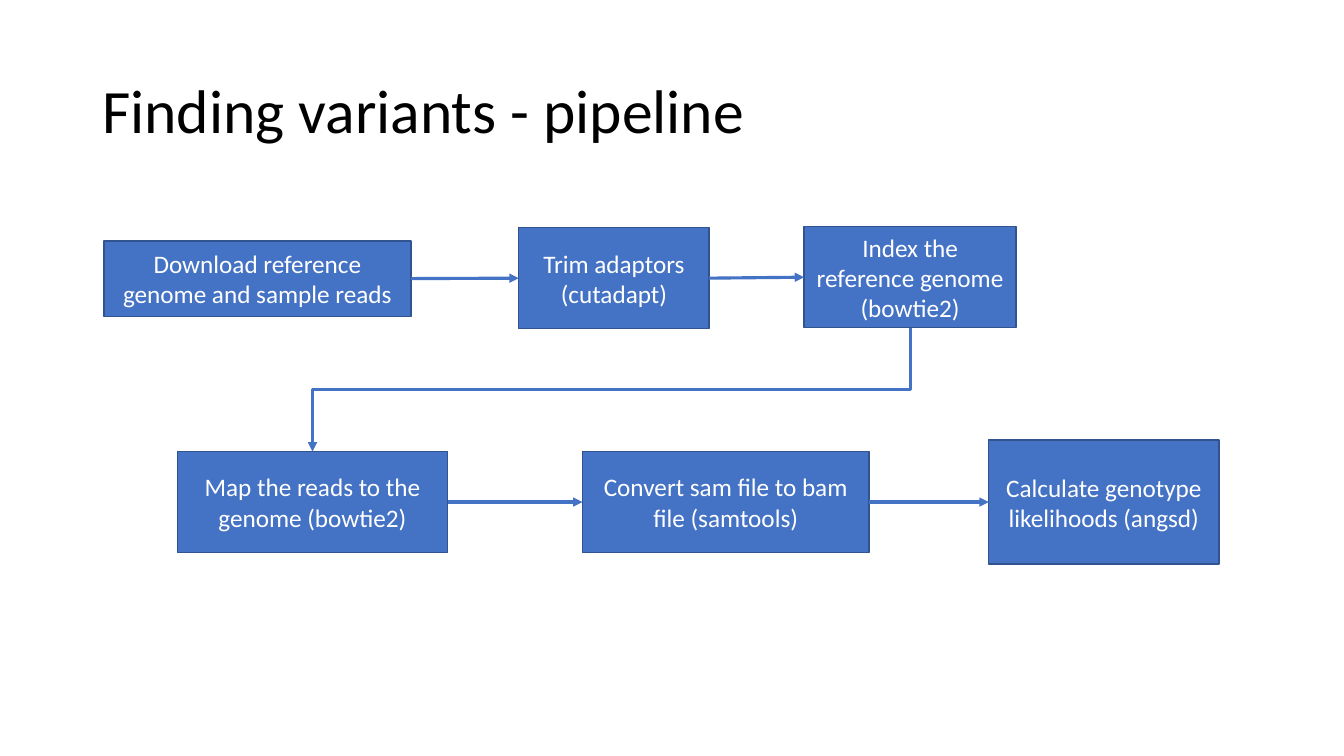
from dataclasses import dataclass
from itertools import pairwise
from lxml.etree import SubElement
from pptx import Presentation
from pptx.dml.color import RGBColor
from pptx.enum.shapes import MSO_CONNECTOR, MSO_SHAPE
from pptx.enum.text import MSO_ANCHOR, PP_ALIGN
from pptx.oxml.ns import qn
from pptx.util import Pt


@dataclass(frozen=True)
class Theme:
    font: str = "Calibri"
    title_size: float = 44
    step_size: float = 18
    title: RGBColor = RGBColor(0, 0, 0)
    step_text: RGBColor = RGBColor(0xFF, 0xFF, 0xFF)
    fill: RGBColor = RGBColor(0x44, 0x72, 0xC4)
    border: RGBColor = RGBColor(0x31, 0x53, 0x8F)
    border_width: float = 1
    arrow_width: float = 2.25


THEME = Theme()
TOP, LEFT, BOTTOM, RIGHT = range(4)

# Steps: left and top within the row, width, height, text
PREPARE = [
    (0, 10, 219.4, 54, "Download reference genome and sample reads"),
    (296.4, 0.7, 136, 72, "Trim adaptors (cutadapt)"),
    (500.2, 0, 151.4, 72, "Index the reference genome (bowtie2)"),
]
ANALYSE = [
    (0, 8.2, 193, 72, "Map the reads to the genome (bowtie2)"),
    (289.4, 8.2, 204.6, 72, "Convert sam file to bam file (samtools)"),
    (579.6, 0, 164.4, 88.4, "Calculate genotype likelihoods (angsd)"),
]


def set_text(s, text, size, color, align):
    tf = s.text_frame
    tf.word_wrap = True
    tf.vertical_anchor = MSO_ANCHOR.MIDDLE
    p = tf.paragraphs[0]
    p.text = text
    p.alignment = align
    p.font.name = THEME.font
    p.font.size = Pt(size)
    p.font.color.rgb = color
    return p


def add_title(slide, x, y, w, h, text):
    s = slide.shapes.add_textbox(Pt(x), Pt(y), Pt(w), Pt(h))
    p = set_text(s, text, THEME.title_size, THEME.title, PP_ALIGN.LEFT)
    p.line_spacing = 0.9


def add_step(slide, x, y, w, h, text):
    s = slide.shapes.add_shape(MSO_SHAPE.RECTANGLE, Pt(x), Pt(y), Pt(w), Pt(h))
    s.shadow.inherit = False
    s.fill.solid()
    s.fill.fore_color.rgb = THEME.fill
    s.line.color.rgb = THEME.border
    s.line.width = Pt(THEME.border_width)
    set_text(s, text, THEME.step_size, THEME.step_text, PP_ALIGN.CENTER)
    return s


def add_arrow(slide, kind):
    arrow = slide.shapes.add_connector(kind, 0, 0, 0, 0)
    arrow.line.color.rgb = THEME.fill
    arrow.line.width = Pt(THEME.arrow_width)
    SubElement(arrow.line._get_or_add_ln(), qn("a:tailEnd"), type="triangle")
    SubElement(arrow._element.spPr, qn("a:effectLst"))
    return arrow


def add_row(slide, x, y, steps):
    """Place a row of steps and join neighbours with straight arrows."""
    boxes = [add_step(slide, x + dx, y + dy, w, h, text)
             for dx, dy, w, h, text in steps]
    for a, b in pairwise(boxes):
        arrow = add_arrow(slide, MSO_CONNECTOR.STRAIGHT)
        arrow.begin_connect(a, RIGHT)
        arrow.end_connect(b, LEFT)
    return boxes


def add_row_turn(slide, upper, lower):
    """Lead from the bottom of one step back to the top of a lower one."""
    x1, y1 = upper.left + upper.width // 2, upper.top + upper.height
    x2, y2 = lower.left + lower.width // 2, lower.top
    drop, run = y2 - y1, x1 - x2
    arrow = add_arrow(slide, MSO_CONNECTOR.ELBOW)
    # A quarter turn about the centre makes the elbow start downwards
    arrow.left, arrow.top = (x1 + x2 - drop) // 2, (y1 + y2 - run) // 2
    arrow.width, arrow.height = drop, run
    arrow._element.spPr.find(qn("a:xfrm")).set("rot", str(90 * 60000))


def main():
    prs = Presentation()
    prs.slide_width, prs.slide_height = Pt(960), Pt(540)
    slide = prs.slides.add_slide(prs.slide_layouts[6])

    # Title
    add_title(slide, 66, 28.8, 828, 104.4, "Finding variants - pipeline")

    # Two rows of the pipeline, with the turn between them
    prepare = add_row(slide, 74.2, 162, PREPARE)
    analyse = add_row(slide, 126.7, 314.4, ANALYSE)
    add_row_turn(slide, prepare[-1], analyse[0])

    prs.save("out.pptx")


if __name__ == "__main__":
    main()
